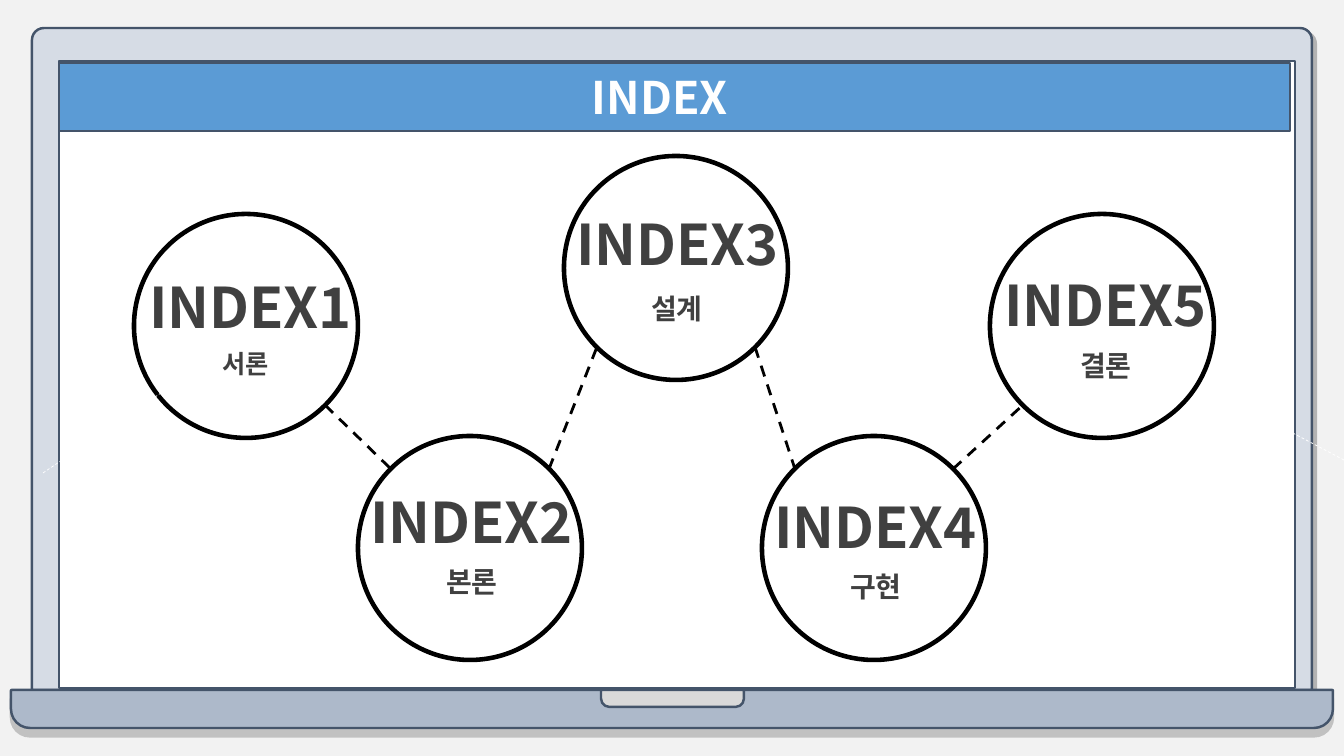
from lxml import etree
from pptx import Presentation, util as u
from pptx.dml.color import RGBColor
from pptx.enum import dml, shapes, text
from pptx.oxml.ns import qn

PX = 914400 / 100.8
FONT = "Noto Sans CJK KR"
COLORS = {
    "backdrop": "F2F2F2", "lid": "D6DCE5", "base": "ADB9CA", "notch": "D9D9D9",
    "outline": "44546A", "header": "5B9BD5", "white": "FFFFFF",
    "black": "000000", "label": "404040",
}


def color(name):
    return RGBColor.from_string(COLORS[name])


def write(box, words, size, ink):
    """Put one bold, centred line of text in a shape."""
    para = box.text_frame.paragraphs[0]
    para.text = words
    para.alignment = text.PP_ALIGN.CENTER
    font = para.font
    font.name, font.size, font.bold = FONT, u.Pt(size), True
    font.color.rgb = color(ink)
    etree.SubElement(para._p.pPr.find(qn("a:defRPr")), qn("a:ea"), typeface=FONT)


deck = Presentation()
deck.slide_width, deck.slide_height = round(1344 * PX), round(756 * PX)
page = deck.slides.add_slide(deck.slide_layouts[6])
page.background.fill.solid()
page.background.fill.fore_color.rgb = color("backdrop")

# Laptop: bounds, fill, corner adjustments, shadow (opacity %, distance pt, angle)
RECT = shapes.MSO_SHAPE.RECTANGLE
ROUND = shapes.MSO_SHAPE.ROUND_2_SAME_RECTANGLE
laptop = [
    (ROUND, (32, 28, 1280, 662), "lid", (0.018, 0), (25, 4, 45)),
    (RECT, (59, 61, 1236, 627), "white", (), None),
    (ROUND, (11, 690, 1322, 38), "base", (0.018, 0.5), (20, 6, 90)),
    (ROUND, (601, 690, 143, 17), "notch", (0.018, 0.5), None),
    (RECT, (59, 63, 1231, 68), "header", (), None),
]
for kind, bounds, fill, corners, shadow in laptop:
    part = page.shapes.add_shape(kind, *(round(v * PX) for v in bounds))
    part.shadow.inherit = False
    part.fill.solid()
    part.fill.fore_color.rgb = color(fill)
    part.line.color.rgb = color("outline")
    part.line.width = u.Pt(1.75)
    for index, corner in enumerate(corners):
        part.adjustments[index] = corner
    if shadow:
        opacity, distance, angle = shadow
        effects = part._element.spPr.find(qn("a:effectLst"))
        cast = etree.SubElement(effects, qn("a:outerShdw"), blurRad="0",
                                dist=str(u.Pt(distance)), dir=str(angle * 60000),
                                algn="tl", rotWithShape="0")
        tint = etree.SubElement(cast, qn("a:srgbClr"), val=COLORS["black"])
        etree.SubElement(tint, qn("a:alpha"), val=str(opacity * 1000))

header = part
header.text_frame.vertical_anchor = text.MSO_ANCHOR.MIDDLE
header.text_frame.margin_right = round(39 * PX)
write(header, "INDEX", 32, "white")

# Chapters: circle corner, title corner, subtitle, its corner and size
DIAMETER = 224
chapters = [
    ((134, 214), (138, 268), "서론", (211, 343), 18),
    ((358, 436), (359, 483), "본론", (433, 560), 20),
    ((564, 156), (565, 205), "설계", (638, 287), 20),
    ((762, 436), (763, 488), "구현", (837, 565), 20),
    ((990, 214), (993, 266), "결론", (1067, 344), 20),
]
for (left, top), *_ in chapters:
    circle = page.shapes.add_shape(shapes.MSO_SHAPE.OVAL, round(left * PX), round(top * PX),
                                   round(DIAMETER * PX), round(DIAMETER * PX))
    circle.shadow.inherit = False
    circle.fill.background()
    circle.line.color.rgb = color("black")
    circle.line.width = u.Pt(3.25)

# Links join neighbouring circles at their diagonal points
NEAR, FAR = 33, 191
links = [((43, 473, 161, 393), "white", 0.5), ((1344, 460, 1215, 392), "white", 0.5)]
for (here, *_), (there, *_) in zip(chapters, chapters[1:]):
    start, end = (FAR, NEAR) if here[1] < there[1] else (NEAR, FAR)
    links.append(((here[0] + FAR, here[1] + start, there[0] + NEAR, there[1] + end), "black", 2))
for ends, ink, width in links:
    link = page.shapes.add_connector(shapes.MSO_CONNECTOR.STRAIGHT, *(round(v * PX) for v in ends))
    link.line.color.rgb = color(ink)
    link.line.width = u.Pt(width)
    link.line.dash_style = dml.MSO_LINE.DASH
    etree.SubElement(link._element.spPr, qn("a:effectLst"))

for number, (_, title_at, subtitle, subtitle_at, size) in enumerate(chapters, 1):
    labels = [
        (f"INDEX{number}", (*title_at, 225, 78), 40),
        (subtitle, (*subtitle_at, 4 * size - 2, 2 * size + 4), size),
    ]
    for words, bounds, points in labels:
        box = page.shapes.add_textbox(*(round(v * PX) for v in bounds))
        box.text_frame.word_wrap = False
        box.text_frame.auto_size = text.MSO_AUTO_SIZE.SHAPE_TO_FIT_TEXT
        write(box, words, points, "label")

deck.save("out.pptx")
